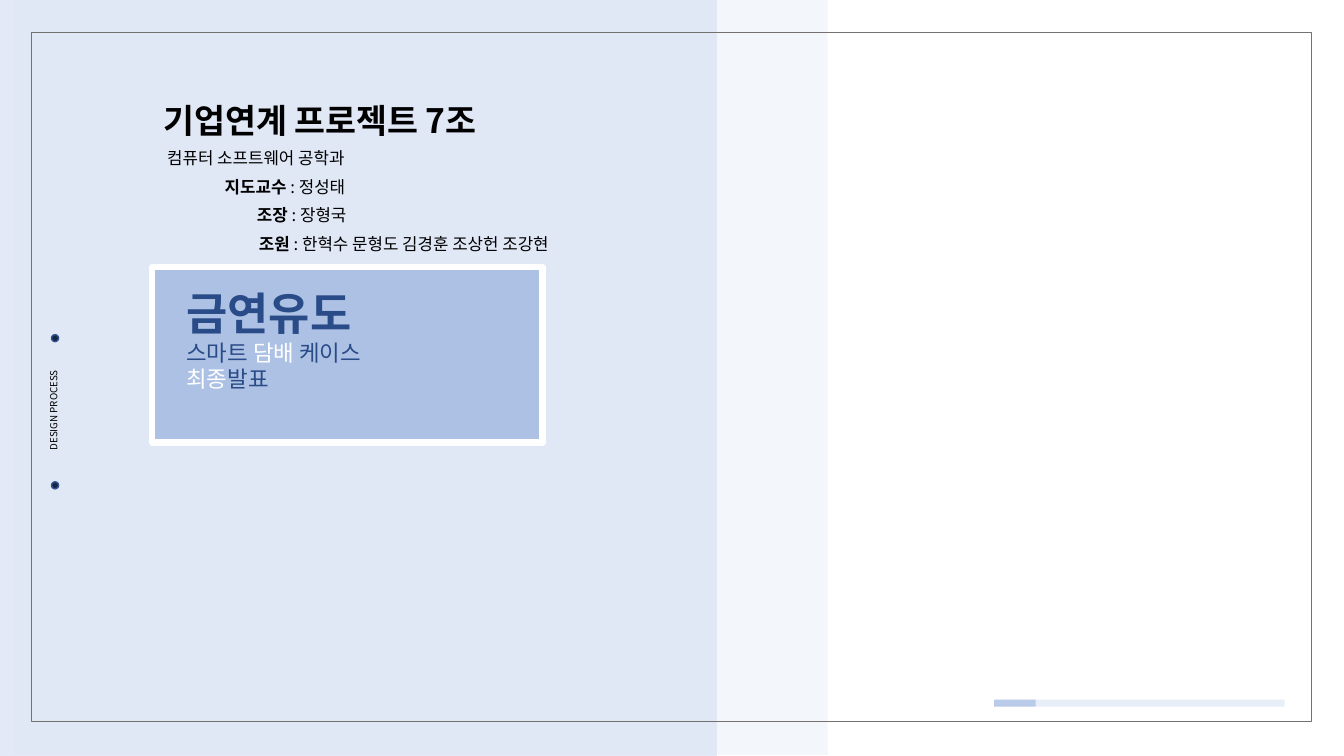
"""Build the cover slide of a student project presentation."""
from pptx import Presentation
from pptx.dml.color import RGBColor
from pptx.enum.shapes import MSO_SHAPE as Preset
from pptx.enum.text import MSO_ANCHOR as Anchor, MSO_AUTO_SIZE as AutoSize, PP_ALIGN as Align
from pptx.oxml.ns import qn
from pptx.util import Inches, Pt
from lxml.etree import SubElement
from dataclasses import dataclass


@dataclass(frozen=True)
class Theme:
    font: str = "Noto Sans CJK KR"
    ink: str = "000000"
    pale: str = "D9E2F3"
    blue: str = "90ABDC"
    navy: str = "294B87"
    dot: str = "162746"
    dot_edge: str = "325491"
    frame: str = "767171"
    white: str = "FFFFFF"
    heading: int = 24
    topic: int = 32
    subtitle: int = 16
    body: int = 12
    label: int = 7
    subtitle_line: float = 18.5


THEME = Theme()
WIDTH, HEIGHT = Inches(13.33), Inches(7.5)

HEADING = [[("기업연계 프로젝트 7조", THEME.heading, THEME.ink, True)]]
HEADING_AREA = (11.4, 13.2, 29.11, 11.2)
SIDE_LABEL = [[("DESIGN PROCESS", THEME.label, THEME.ink, False)]]
SIDE_LABEL_AREA = (0.38, 52.8, 7.43, 2.93)
TOPIC = [
    [("금연유도", THEME.topic, THEME.navy, True)],
    [("스마트 ", THEME.subtitle, THEME.navy, False),
     ("담배", THEME.subtitle, THEME.white, False),
     (" 케이스", THEME.subtitle, THEME.navy, False)],
    [("최종", THEME.subtitle, THEME.white, False),
     ("발표", THEME.subtitle, THEME.navy, False)],
]
TOPIC_AREA = (13.13, 38, 20.03, 16.67)

CREDITS = [
    ("", "컴퓨터 소프트웨어 공학과", 11.7, 16.13),
    ("지도교수 ", ": 정성태", 15.98, 11.48),
    ("조장", " : 장형국", 18.38, 9),
    ("조원", " : 한혁수 문형도 김경훈 조상헌 조강현", 18.53, 27.68),
]
CREDIT_TOP, CREDIT_STEP, CREDIT_HEIGHT = 19.2, 3.78, 4

BACKDROP = [
    (Preset.RECTANGLE, (1.05, -0.13, 60.54, 100), THEME.pale, 31, None, 0),
    (Preset.RECTANGLE, (0, 0, 53.34, 100), THEME.pale, 73, None, 0),
    (Preset.RECTANGLE, (11.33, 35.33, 29.03, 23.2), THEME.blue, 63, THEME.white, 4.5),
    *[(Preset.OVAL, (3.83, top, 0.53, 0.93), THEME.dot, 100, THEME.dot_edge, 1)
      for top in (44.27, 63.73)],
    (Preset.RECTANGLE, (2.33, 4.27, 95.27, 91.2), None, 100, THEME.frame, 1),
]
PROGRESS = [
    (Preset.RECTANGLE, (73.97, 92.53, width, 0.93), color, opacity, None, 0)
    for width, color, opacity in ((21.61, THEME.pale, 58), (3.08, THEME.blue, 52))
]


def place(area):
    """Turn percentages of the slide into lengths."""
    return [round(share * side / 100) for share, side in zip(area, (WIDTH, HEIGHT) * 2)]


def apply(target, values):
    """Set every attribute named in a dict."""
    for name, value in values.items():
        setattr(target, name, value)


def draw(shapes, preset, area, fill, opacity, edge, weight):
    """Add a preset shape with its fill and outline."""
    shape = shapes.add_shape(preset, *place(area))
    shape.shadow.inherit = False
    if fill:
        shape.fill.solid()
        shape.fill.fore_color.rgb = RGBColor.from_string(fill)
        if opacity < 100:
            color = shape.fill._xPr.find(qn("a:solidFill"))[0]
            SubElement(color, qn("a:alpha"), val=str(opacity * 1000))
    else:
        shape.fill.background()
    if edge:
        shape.line.color.rgb = RGBColor.from_string(edge)
        shape.line.width = Pt(weight)
    else:
        shape.line.fill.background()


def write(box, paragraphs, wrap=True):
    """Fill a text frame with formatted runs."""
    frame = box.text_frame
    first_size = paragraphs[0][0][1]
    apply(frame, {
        "word_wrap": wrap, "auto_size": AutoSize.NONE, "vertical_anchor": Anchor.TOP,
        "margin_left": Inches(0.1), "margin_right": Inches(0.1),
        "margin_top": Inches(0.05 - 0.14 * first_size / 72), "margin_bottom": Inches(0.05),
    })
    for index, runs in enumerate(paragraphs):
        paragraph = frame.add_paragraph() if index else frame.paragraphs[0]
        spacing = Pt(THEME.subtitle_line) if index else 1.0
        apply(paragraph, {"alignment": Align.LEFT, "line_spacing": spacing})
        for text, size, color, bold in runs:
            run = paragraph.add_run()
            run.text = text
            apply(run.font, {"name": THEME.font, "size": Pt(size), "bold": bold})
            run.font.color.rgb = RGBColor.from_string(color)
            SubElement(run.font._element, qn("a:ea"), typeface=THEME.font)


def main():
    """Compose and save the slide."""
    deck = Presentation()
    apply(deck, {"slide_width": WIDTH, "slide_height": HEIGHT})
    slide = deck.slides.add_slide(deck.slide_layouts[5])
    shapes = slide.shapes
    heading = shapes.title

    for part in BACKDROP:
        draw(shapes, *part)
    progress = shapes.add_group_shape()
    for part in PROGRESS:
        draw(progress.shapes, *part)

    side_label = shapes.add_textbox(*place(SIDE_LABEL_AREA))
    side_label.rotation = 270
    write(side_label, SIDE_LABEL, wrap=False)
    write(shapes.add_textbox(*place(TOPIC_AREA)), TOPIC)

    apply(heading, dict(zip(("left", "top", "width", "height"), place(HEADING_AREA))))
    write(heading, HEADING)
    heading._element.getparent().append(heading._element)

    for row, (role, names, left, width) in enumerate(CREDITS):
        area = (left, CREDIT_TOP + row * CREDIT_STEP, width, CREDIT_HEIGHT)
        runs = [(text, THEME.body, THEME.ink, bold)
                for text, bold in ((role, True), (names, False)) if text]
        write(shapes.add_textbox(*place(area)), [runs], wrap=False)

    deck.save("out.pptx")


if __name__ == "__main__":
    main()
